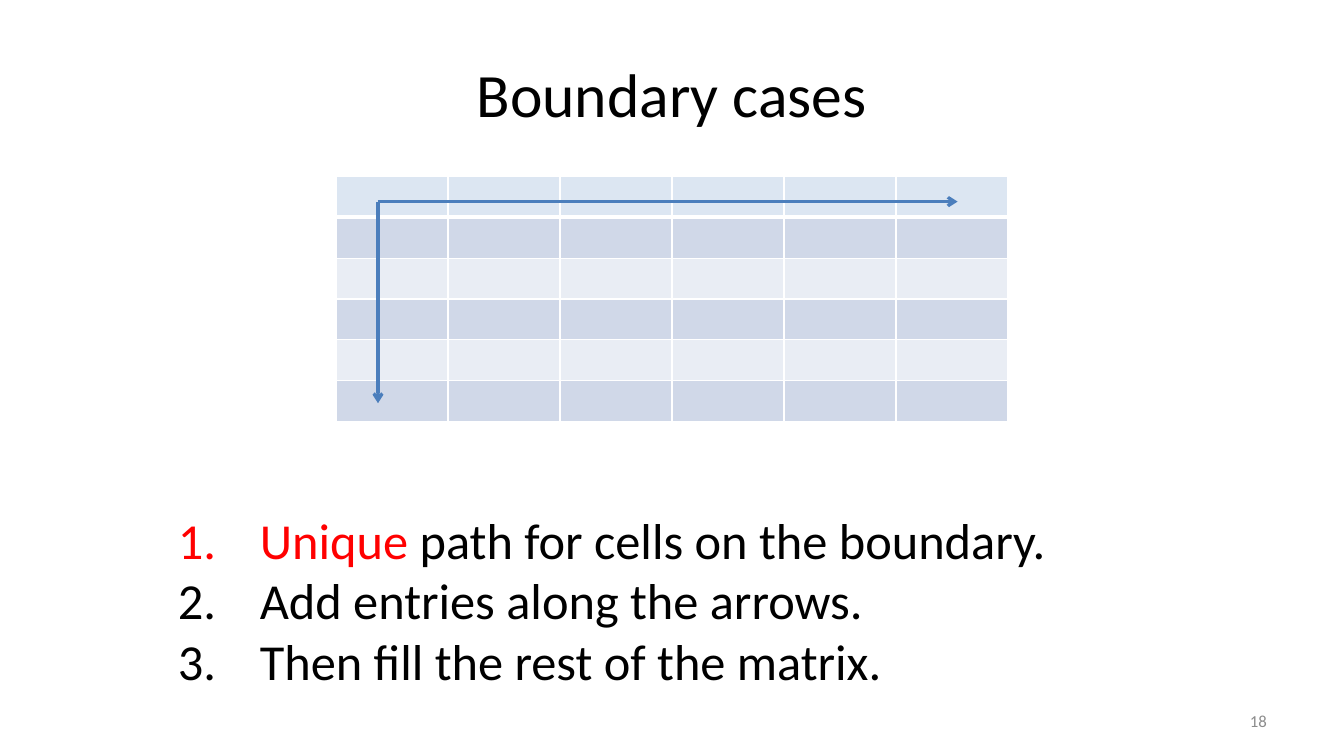
from lxml.etree import SubElement
from pptx import Presentation
from pptx.dml.color import RGBColor
from pptx.enum.shapes import MSO_CONNECTOR
from pptx.enum.text import MSO_ANCHOR, PP_ALIGN
from pptx.oxml import parse_xml
from pptx.oxml.ns import nsdecls, qn
from pptx.util import Pt

THEME = {
    "font": "Calibri",
    "title": 44, "body": 36, "number": 12,
    "black": "000000", "red": "FF0000", "grey": "8C8C8C",
    "arrow": "4B7EBC", "border": "FFFFFF",
    "header": "DCE6F2", "bands": ["D0D8E8", "E9EDF4"],
}


def add_text(s, box, paragraphs, size, align, anchor):
    tf = s.shapes.add_textbox(*map(Pt, box)).text_frame
    for name, value in {"word_wrap": True, "vertical_anchor": anchor}.items():
        setattr(tf, name, value)
    for i, runs in enumerate(paragraphs):
        p = tf.add_paragraph() if i else tf.paragraphs[0]
        p.alignment = align
        for text, color in runs:
            r = p.add_run()
            r.text = text
            for name, value in {"name": THEME["font"], "size": Pt(THEME[size])}.items():
                setattr(r.font, name, value)
            r.font.color.rgb = RGBColor.from_string(THEME[color])
    return tf


prs = Presentation()
prs.slide_width, prs.slide_height = Pt(960), Pt(540)
s = prs.slides.add_slide(prs.slide_layouts[6])

add_text(s, (48, 21.6, 864, 90), [[("Boundary cases", "black")]],
         "title", PP_ALIGN.CENTER, MSO_ANCHOR.MIDDLE)

size = 6
matrix = s.shapes.add_table(size, size, Pt(240), Pt(126), Pt(480), Pt(175.2)).table
for row in range(size):
    fill = THEME["bands"][(row - 1) % 2] if row else THEME["header"]
    widths = {"L": 1, "R": 1, "T": 3 if row == 1 else 1, "B": 1 if row else 3}
    for col in range(size):
        cell = matrix.cell(row, col)
        cell.fill.solid()
        cell.fill.fore_color.rgb = RGBColor.from_string(fill)
        tcPr = cell._tc.get_or_add_tcPr()
        for i, (side, width) in enumerate(widths.items()):
            tcPr.insert(i, parse_xml(
                f'<a:ln{side} {nsdecls("a")} w="{Pt(width)}"><a:solidFill>'
                f'<a:srgbClr val="{THEME["border"]}"/></a:solidFill></a:ln{side}>'))

corner = (270, 144)
for end in [(684, 144), (270, 288)]:
    arrow = s.shapes.add_connector(MSO_CONNECTOR.STRAIGHT, *map(Pt, corner + end))
    arrow.line.color.rgb = RGBColor.from_string(THEME["arrow"])
    arrow.line.width = Pt(2.25)
    SubElement(arrow.line._get_or_add_ln(), qn("a:tailEnd"), type="arrow")
    SubElement(arrow._element.spPr, qn("a:effectLst"))

steps = [
    [("Unique", "red"), (" path for cells on the boundary.", "black")],
    [("Add entries along the arrows.", "black")],
    [("Then fill the rest of the matrix.", "black")],
]
tf = add_text(s, (120, 360, 720, 138.2), steps, "body", PP_ALIGN.LEFT, MSO_ANCHOR.TOP)
indent = Pt(58.5)
for p in tf.paragraphs:
    pPr = p._p.get_or_add_pPr()
    for name, value in {"marL": indent, "indent": -indent}.items():
        pPr.set(name, str(value))
    SubElement(pPr, qn("a:buFont"), typeface="+mj-lt")
    SubElement(pPr, qn("a:buAutoNum"), type="arabicPeriod")

add_text(s, (688, 500.5, 224, 28.75), [[("18", "grey")]],
         "number", PP_ALIGN.RIGHT, MSO_ANCHOR.MIDDLE)

prs.save("out.pptx")
